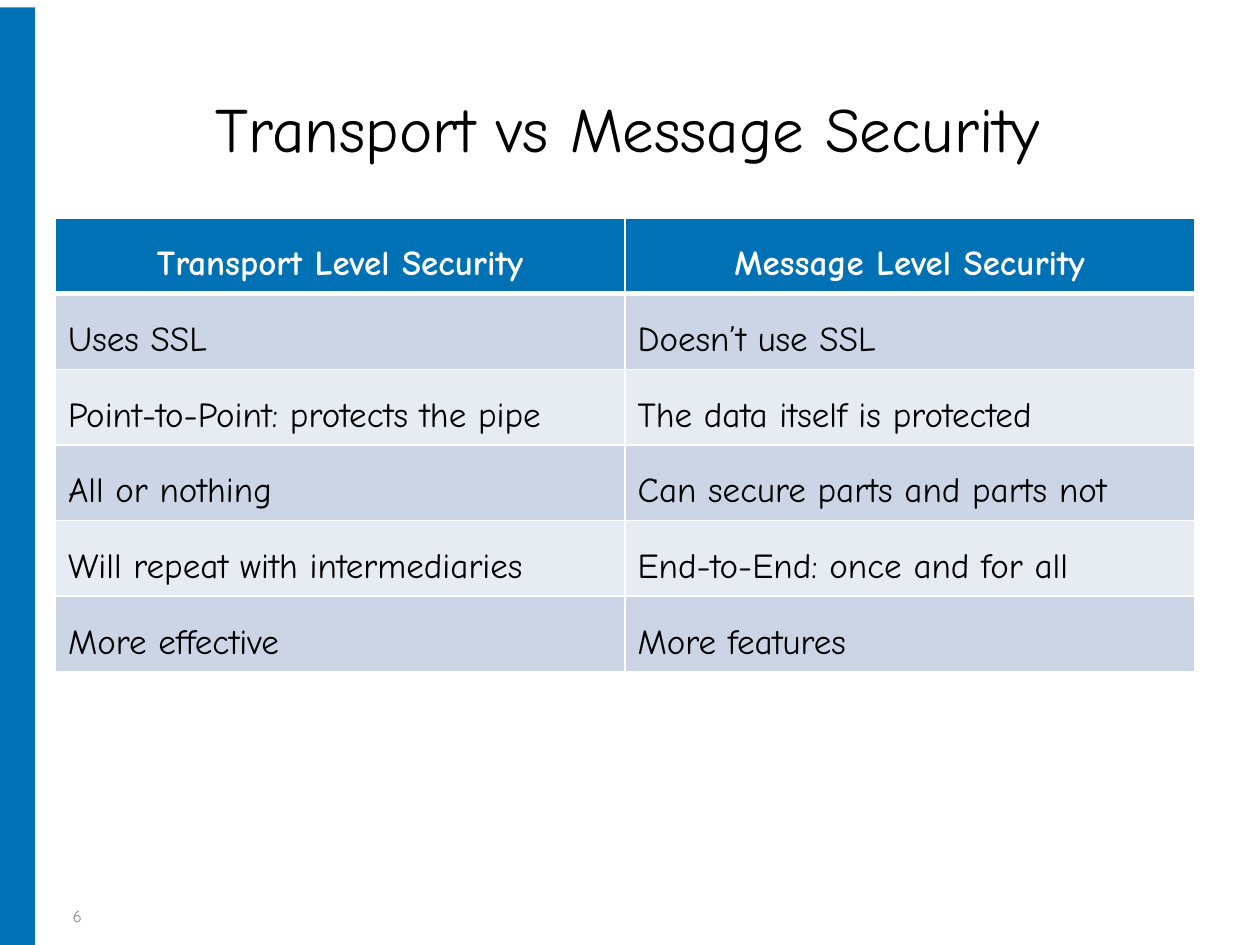
from lxml.etree import SubElement
from pptx import Presentation
from pptx.dml.color import RGBColor as Rgb
from pptx.enum.shapes import MSO_SHAPE as Preset
from pptx.enum.text import MSO_ANCHOR as Anchor, PP_ALIGN as Align
from pptx.oxml.ns import qn
from pptx.util import Inches, Pt

COLORS = {
    "blue": "0071B4",
    "band": "CCD5E5",
    "light": "E7EBF2",
    "black": "000000",
    "white": "FFFFFF",
    "gray": "848589",
}
COMPARISON = [
    ("Transport Level Security", "Message Level Security"),
    ("Uses SSL", "Doesn’t use SSL"),
    ("Point-to-Point: protects the pipe", "The data itself is protected"),
    ("All or nothing", "Can secure parts and parts not"),
    ("Will repeat with intermediaries", "End-to-End: once and for all"),
    ("More effective", "More features"),
]


class SlideBuilder:
    body_font = "Comic Neue"
    number_font = "Quicksand"

    def __init__(self, slide):
        self.slide = slide

    def color(self, key):
        return Rgb.from_string(COLORS[key])

    def paint(self, target, key):
        target.fill.solid()
        target.fill.fore_color.rgb = self.color(key)

    def put_words(self, frame, words, color, font, layout):
        paragraph = frame.paragraphs[0]
        run = paragraph.add_run()
        run.text = words
        run.font.color.rgb = self.color(color)
        for target, values in ((run.font, font), (paragraph, layout)):
            for name, value in values.items():
                setattr(target, name, value)

    def text(self, box, words, color, font, layout):
        frame = self.slide.shapes.add_textbox(*map(Inches, box)).text_frame
        frame.word_wrap = True
        frame.vertical_anchor = Anchor.BOTTOM
        self.put_words(frame, words, color, font, layout)

    def bar(self, box, color):
        bar = self.slide.shapes.add_shape(Preset.RECTANGLE, *map(Inches, box))
        bar.shadow.inherit = False
        bar.line.fill.background()
        self.paint(bar, color)

    def borders(self, cell, widths):
        properties = cell._tc.get_or_add_tcPr()
        for side, width in widths.items():
            line = SubElement(properties, qn(f"a:ln{side}"), w=str(Pt(width)))
            fill = SubElement(line, qn("a:solidFill"))
            SubElement(fill, qn("a:srgbClr"), val=COLORS["white"])

    def table(self, box, rows):
        table = self.slide.shapes.add_table(
            len(rows), len(rows[0]), *map(Inches, box)
        ).table
        for row, entries in enumerate(rows):
            header = row == 0
            fill = "blue" if header else ("light", "band")[row % 2]
            widths = {"L": 1, "R": 1, "T": 3 if row == 1 else 1, "B": 3 if header else 1}
            for column, words in enumerate(entries):
                cell = table.cell(row, column)
                self.borders(cell, widths)
                self.paint(cell, fill)
                self.put_words(
                    cell.text_frame,
                    words,
                    "white" if header else "black",
                    {"name": self.body_font, "size": Pt(20), "bold": header},
                    {"alignment": Align.CENTER if header else Align.LEFT, "line_spacing": 1.5},
                )


def main():
    deck = Presentation()
    deck.slide_width, deck.slide_height = Inches(10), Inches(7.5)
    builder = SlideBuilder(deck.slides.add_slide(deck.slide_layouts[6]))
    builder.text(
        (0.47, 0.12, 9.02, 1.25),
        "Transport vs Message Security",
        "black",
        {"name": builder.body_font, "size": Pt(36)},
        {"alignment": Align.CENTER, "line_spacing": 0.9},
    )
    builder.table((0.44, 1.73, 9.04, 3.48), COMPARISON)
    builder.text(
        (0.48, 7.16, 0.35, 0.24),
        "6",
        "gray",
        {"name": builder.number_font, "size": Pt(9)},
        {"alignment": Align.LEFT},
    )
    builder.bar((0, 0.06, 0.28, 7.44), "blue")
    deck.save("out.pptx")


if __name__ == "__main__":
    main()
